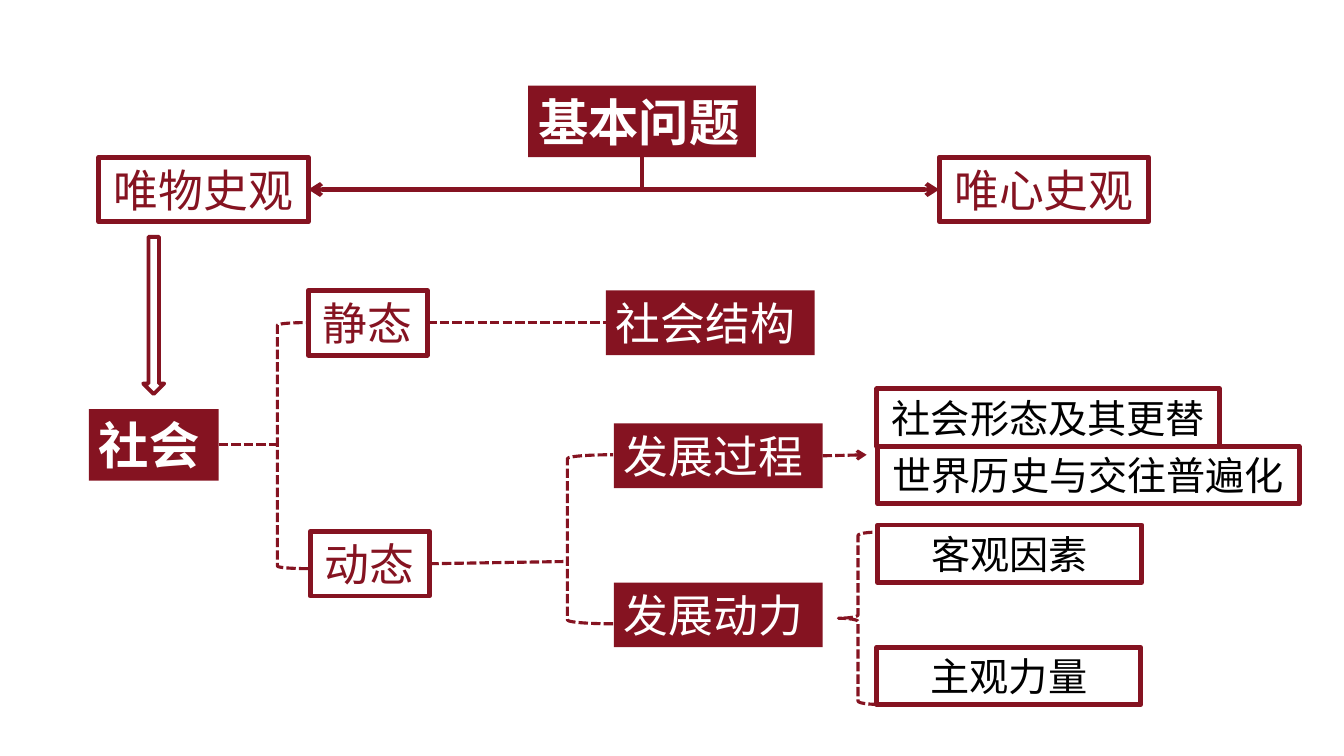
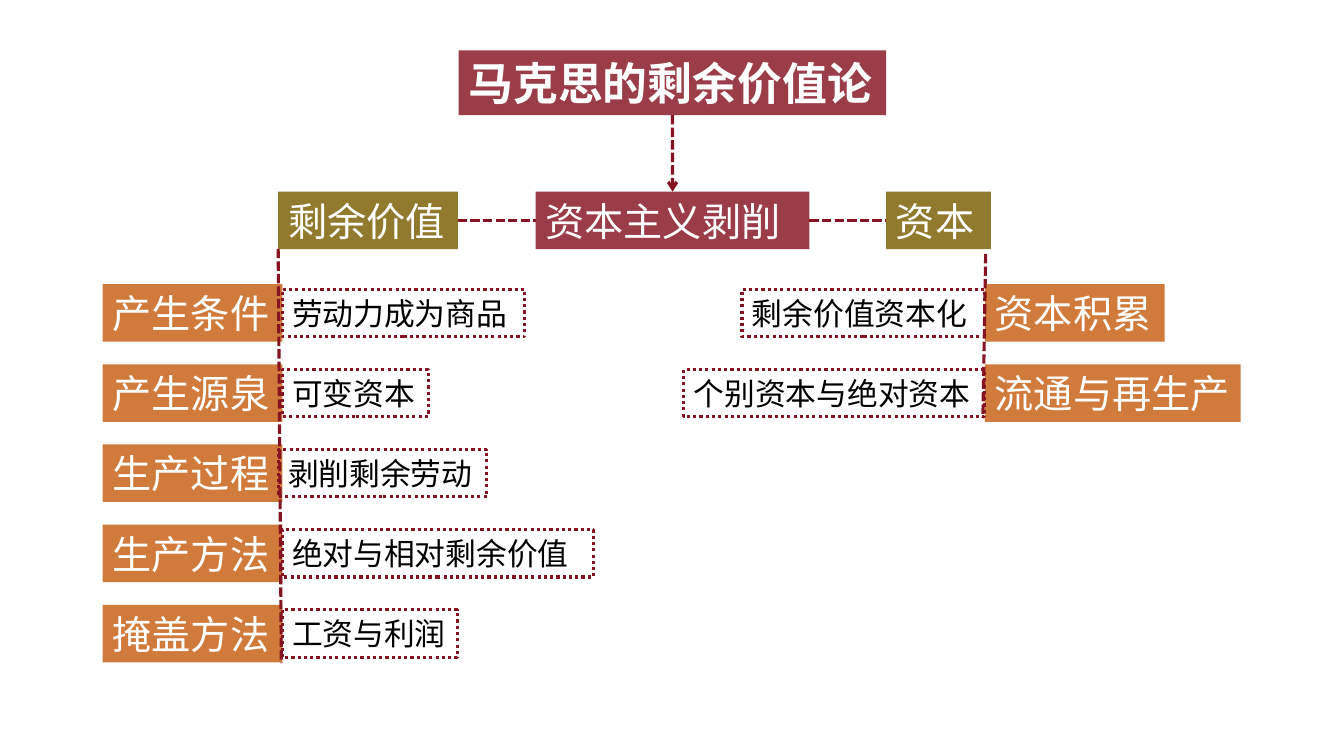
from pptx import Presentation
from pptx import util as u
from pptx.dml.color import RGBColor
from pptx.enum import dml, shapes, text
from pptx.oxml.ns import qn
from lxml import etree

Cm, Pt = u.Cm, u.Pt
RED = RGBColor(0x85, 0x13, 0x21)
GOLD = RGBColor(0x79, 0x5D, 0x01)
RUST = RGBColor(0xC6, 0x5F, 0x10)
WHITE = RGBColor(0xFF, 0xFF, 0xFF)
BLACK = RGBColor(0, 0, 0)
FONT = "Noto Sans CJK SC"
DASH = dml.MSO_LINE.SQUARE_DOT
DOT = dml.MSO_LINE.ROUND_DOT
KIND = shapes.MSO_SHAPE
LINK = shapes.MSO_CONNECTOR
HIGH = {36: 1.8, 32: 1.63, 28: 1.45, 22: 1.19}

HEADS = [("基本问题", 13.31, 2.16, 5.74), ("社会", 2.24, 10.31, 3.27)]
SOLID = [
    ("社会结构", 15.27, 7.32),
    ("发展过程", 15.47, 10.67),
    ("发展动力", 15.47, 14.68),
]
OPEN = [
    ("唯物史观", 2.49, 3.96, 5.28),
    ("唯心史观", 23.67, 3.96, 5.28),
    ("静态", 7.77, 7.32, 3),
    ("动态", 7.82, 13.39, 3),
]
LEAVES = [
    ("社会形态及其更替", 22.1, 9.8, 8.64),
    ("世界历史与交往普遍化", 22.12, 11.25, 10.62),
    ("客观因素", 22.12, 13.23, 6.65),
    ("主观力量", 22.1, 16.31, 6.65),
]
SIGNS = [
    (KIND.LEFT_BRACKET, 6.99, 8.13, 0.78, 6.2, 2.25, DASH),
    (KIND.LEFT_BRACKET, 14.3, 11.46, 1.15, 4.26, 2.25, DASH),
    (KIND.LEFT_BRACE, 21.13, 13.41, 0.99, 4.34, 2.25, DASH),
    (KIND.DOWN_ARROW, 3.61, 5.97, 0.53, 3.96, 2.75, None),
]

TITLE = ("马克思的剩余价值论", 11.56, 1.27, 10.77)
TOPICS = [
    ("剩余价值", 7.01, 4.53, GOLD),
    ("资本主义剥削", 13.5, 6.9, RED),
    ("资本", 22.33, 2.64, GOLD),
]
LEFT = [
    ("产生条件", "劳动力成为商品", 7.11, 6.12),
    ("产生源泉", "可变资本", 7.11, 3.68),
    ("生产过程", "剥削剩余劳动", 7.01, 5.26),
    ("生产方法", "绝对与相对剩余价值", 7.11, 7.85),
    ("掩盖方法", "工资与利润", 7.11, 4.42),
]
RIGHT = [
    ("资本积累", 4.53, "剩余价值资本化", 6.12),
    ("流通与再生产", 6.45, "个别资本与绝对资本", 7.59),
]
SPINES = [(7.01, 6.27, 7.09, 16.71), (24.84, 6.4, 24.77, 10.54)]
TOP, STEP, EDGE = 7.16, 2.02, 24.82


def ink(line, wide, dash=None):
    line.color.rgb = RED
    line.width = Pt(wide)
    if dash:
        line.dash_style = dash


def draw(slide, kind, x, y, w, h, fill=None, wide=0, dash=None, alpha=None):
    form = slide.shapes.add_shape(kind, Cm(x), Cm(y), Cm(w), Cm(h))
    form.shadow.inherit = False
    if fill is None:
        form.fill.background()
    else:
        form.fill.solid()
        form.fill.fore_color.rgb = fill
        if alpha:
            tint = form._element.spPr.find(qn("a:solidFill"))[0]
            etree.SubElement(tint, qn("a:alpha")).set("val", str(alpha * 1000))
    if wide:
        ink(form.line, wide, dash)
    else:
        form.line.fill.background()
    return form


def label(slide, words, x, y, w, size, color, center=False, bold=False, **look):
    box = draw(slide, KIND.RECTANGLE, x, y, w, HIGH[size], **look)
    frame = box.text_frame
    frame.word_wrap = True
    frame.auto_size = text.MSO_AUTO_SIZE.SHAPE_TO_FIT_TEXT
    frame.text = words
    para = frame.paragraphs[0]
    para.alignment = text.PP_ALIGN.CENTER if center else text.PP_ALIGN.LEFT
    font = para.font
    font.size, font.bold, font.name = Pt(size), bold, FONT
    font.color.rgb = color
    base = para._p.pPr.find(qn("a:defRPr"))
    etree.SubElement(base, qn("a:ea")).set("typeface", FONT)
    return box


def link(slide, start, end, kind=LINK.STRAIGHT, wide=2.25, dash=DASH, head=False):
    wire = slide.shapes.add_connector(kind, 0, 0, 0, 0)
    if isinstance(start[0], (int, float)):
        wire.begin_x, wire.begin_y = map(Cm, start)
    else:
        wire.begin_connect(*start)
    if isinstance(end[0], (int, float)):
        wire.end_x, wire.end_y = map(Cm, end)
    else:
        wire.end_connect(*end)
    ink(wire.line, wide, dash)
    if head:
        tip = etree.SubElement(wire.line._get_or_add_ln(), qn("a:tailEnd"))
        tip.set("type", "arrow")
    etree.SubElement(wire._element.spPr, qn("a:effectLst"))
    return wire


def bend(slide, start, end):
    wire = link(slide, start, end, LINK.ELBOW, 3, None, True)
    x, y, far, low = wire.begin_x, wire.begin_y, wire.end_x, wire.end_y
    wide, high = abs(far - x), abs(low - y)
    props = wire._element.spPr
    props.find(qn("a:prstGeom")).set("prst", "bentConnector2")
    props.xfrm.flipH, props.xfrm.flipV = False, far > x
    wire.left, wire.top = (x + far - high) // 2, (y + low - wide) // 2
    wire.width, wire.height = high, wide
    wire.rotation = 90


def history(slide):
    box = {}
    for name, x, y, w in HEADS:
        box[name] = label(slide, name, x, y, w, 36, WHITE, bold=True, fill=RED)
    for name, x, y in SOLID:
        box[name] = label(slide, name, x, y, 5.26, 32, WHITE, fill=RED)
    for rows, size, color in ((OPEN, 32, RED), (LEAVES, 28, BLACK)):
        for name, x, y, w in rows:
            box[name] = label(slide, name, x, y, w, size, color, True, wide=3.5)
    for kind, x, y, w, h, wide, dash in SIGNS:
        draw(slide, kind, x, y, w, h, wide=wide, dash=dash)
    link(slide, (box["社会"], 3), (6.99, 11.21))
    link(slide, (box["静态"], 3), (box["社会结构"], 1))
    link(slide, (box["动态"], 3), (14.2, 14.15))
    link(slide, (box["发展过程"], 3), (21.84, 11.46), head=True)
    bend(slide, (box["基本问题"], 2), (box["唯物史观"], 3))
    bend(slide, (box["基本问题"], 2), (box["唯心史观"], 1))


def surplus(slide):
    head = label(slide, *TITLE, 32, WHITE, bold=True, fill=RED, alpha=82)
    worth, core, stock = [
        label(slide, name, x, 4.83, w, 28, WHITE, fill=color, alpha=82)
        for name, x, w, color in TOPICS
    ]
    link(slide, (worth, 3), (core, 1))
    link(slide, (core, 3), (stock, 1))
    link(slide, (head, 2), (core, 0), head=True)
    tags = [(i, row[0], 2.59, 4.53) for i, row in enumerate(LEFT)]
    tags += [(i, row[0], EDGE, row[1]) for i, row in enumerate(RIGHT)]
    notes = [(i, *row[1:]) for i, row in enumerate(LEFT)]
    notes += [(i, row[2], EDGE - row[3], row[3]) for i, row in enumerate(RIGHT)]
    for i, name, x, w in tags:
        label(slide, name, x, TOP + i * STEP, w, 28, WHITE, fill=RUST, alpha=82)
    for x, y, far, low in SPINES:
        link(slide, (x, y), (far, low))
    for i, name, x, w in notes:
        y = TOP + i * STEP + 0.13
        label(slide, name, x, y, w, 22, BLACK, wide=2.25, dash=DOT)


def main():
    deck = Presentation()
    deck.slide_width, deck.slide_height = Cm(33.87), Cm(19.05)
    for build in (history, surplus):
        build(deck.slides.add_slide(deck.slide_layouts[6]))
    deck.save("out.pptx")


if __name__ == "__main__":
    main()
